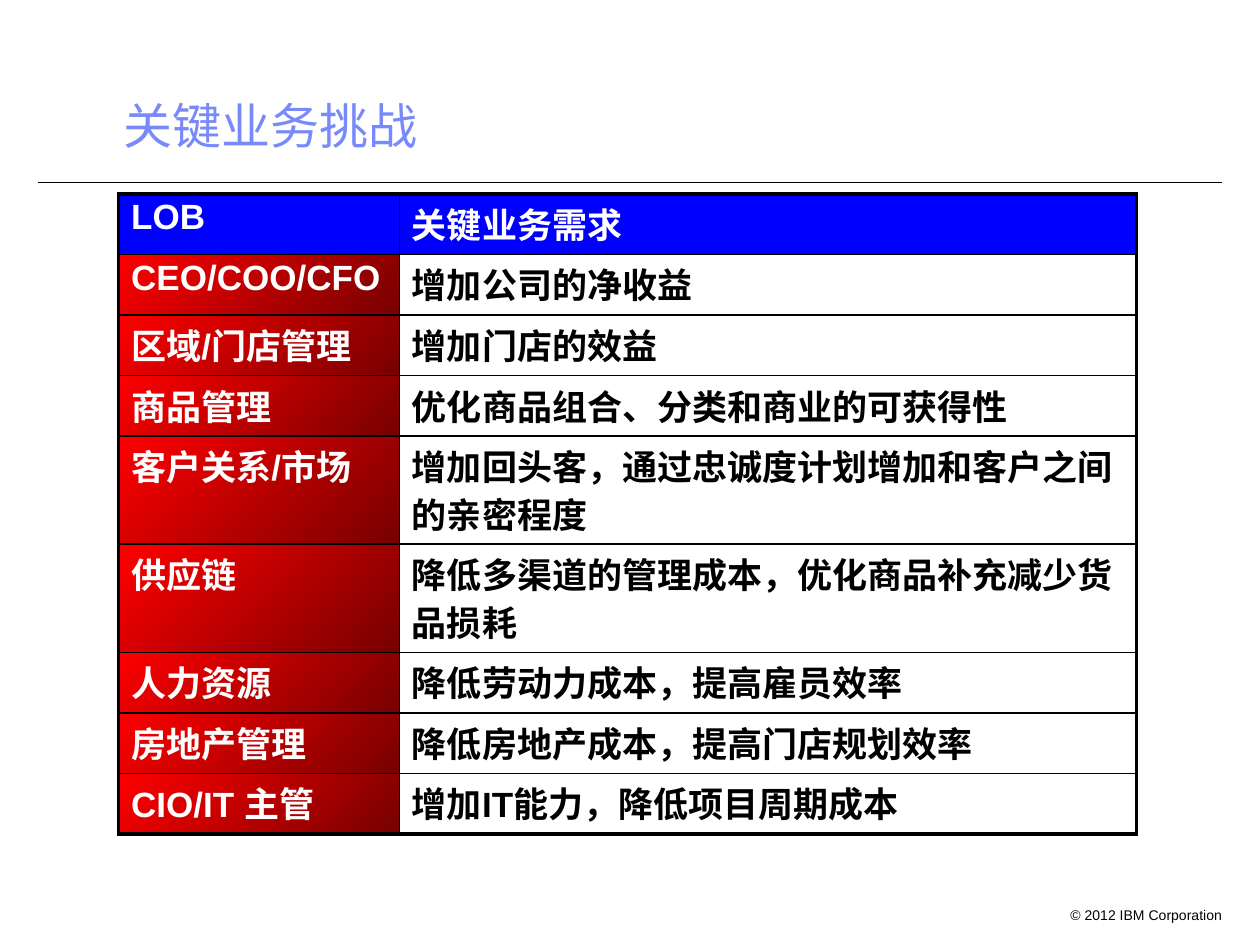
from lxml import etree
from pptx import Presentation
from pptx.dml.color import RGBColor
from pptx.enum.shapes import MSO_CONNECTOR as Connector
from pptx.enum.text import MSO_ANCHOR as Anchor, PP_ALIGN as Align
from pptx.oxml.ns import qn
from pptx.util import Cm, Pt

BLACK = RGBColor(0x00, 0x00, 0x00)
WHITE = RGBColor(0xFF, 0xFF, 0xFF)
BLUE = RGBColor(0x00, 0x00, 0xFF)
PERIWINKLE = RGBColor(0x78, 0x89, 0xFB)
RED = RGBColor(0xFF, 0x00, 0x00)
DARK_RED = RGBColor(0x76, 0x00, 0x00)

LATIN, CJK = "Arial", "Noto Sans CJK SC"
ROW, TALL_ROW = 1.22, 2.18
OUTER, INNER = 2.25, 1

NEEDS = [
    ("LOB", "关键业务需求", ROW),
    ("CEO/COO/CFO", "增加公司的净收益", ROW),
    ("区域/门店管理", "增加门店的效益", ROW),
    ("商品管理", "优化商品组合、分类和商业的可获得性", ROW),
    ("客户关系/市场", "增加回头客，通过忠诚度计划增加和客户之间的亲密程度", TALL_ROW),
    ("供应链", "降低多渠道的管理成本，优化商品补充减少货品损耗", TALL_ROW),
    ("人力资源", "降低劳动力成本，提高雇员效率", ROW),
    ("房地产管理", "降低房地产成本，提高门店规划效率", ROW),
    ("CIO/IT 主管", "增加IT能力，降低项目周期成本", ROW),
]


def write(tf, text, size, color=BLACK, font=LATIN, bold=False, align=Align.LEFT, spacing=1.0):
    p = tf.paragraphs[0]
    p.alignment, p.line_spacing = align, spacing
    r = p.add_run()
    r.text = text
    f = r.font
    f.name, f.size, f.bold = font, Pt(size), bold
    f.color.rgb = color
    etree.SubElement(r._r.get_or_add_rPr(), qn("a:ea"), typeface=CJK)


def set_borders(cell, **widths):
    """Draw black cell edges; the keys are L, R, T and B, the widths are points."""
    tcPr = cell._tc.get_or_add_tcPr()
    for side, width in widths.items():
        ln = etree.SubElement(tcPr, qn(f"a:ln{side}"), w=str(Pt(width)))
        fill = etree.SubElement(ln, qn("a:solidFill"))
        etree.SubElement(fill, qn("a:srgbClr"), val=str(BLACK))


def fill_cell(cell, is_header, is_label):
    fill = cell.fill
    if is_header:
        fill.solid()
        fill.fore_color.rgb = BLUE
    elif is_label:
        fill.gradient()
        fill.gradient_angle = 315
        for stop, color in zip(fill.gradient_stops, (RED, DARK_RED)):
            stop.color.rgb = color
    else:
        fill.background()


class Deck:
    def __init__(self, width, height):
        self.prs = Presentation()
        self.prs.slide_width, self.prs.slide_height = Cm(width), Cm(height)
        self.s = self.prs.slides.add_slide(self.prs.slide_layouts[6])

    def text(self, x, y, w, h, text, anchor=Anchor.TOP, **style):
        tf = self.s.shapes.add_textbox(Cm(x), Cm(y), Cm(w), Cm(h)).text_frame
        tf.word_wrap, tf.vertical_anchor = True, anchor
        write(tf, text, **style)

    def rule(self, x1, x2, y):
        line = self.s.shapes.add_connector(Connector.STRAIGHT, Cm(x1), Cm(y), Cm(x2), Cm(y))
        line.line.color.rgb, line.line.width = BLACK, Pt(0.75)
        etree.SubElement(line._element.spPr, qn("a:effectLst"))

    def table(self, x, y, widths, rows):
        height = sum(row[-1] for row in rows)
        table = self.s.shapes.add_table(
            len(rows), len(widths), Cm(x), Cm(y), Cm(sum(widths)), Cm(height)).table
        table.first_row = table.horz_banding = False
        for column, width in zip(table.columns, widths):
            column.width = Cm(width)
        last_row, last_col = len(rows) - 1, len(widths) - 1
        for i, (*texts, row_height) in enumerate(rows):
            table.rows[i].height = Cm(row_height)
            for j, text in enumerate(texts):
                cell = table.cell(i, j)
                set_borders(cell,
                            L=INNER if j else OUTER,
                            R=OUTER if j == last_col else INNER,
                            T=INNER if i else OUTER,
                            B=OUTER if i == last_row else INNER)
                is_header, is_label = i == 0, j == 0
                fill_cell(cell, is_header, is_label)
                write(cell.text_frame, text, size=20, bold=True, spacing=0.94,
                      color=WHITE if is_header or is_label else BLACK)


def main():
    deck = Deck(25.4, 19.05)
    deck.rule(0.76, 24.64, 3.68)
    deck.text(21.08, 18.16, 3.81, 0.51, "© 2012 IBM Corporation", size=8, align=Align.RIGHT)
    deck.text(2.24, 0.64, 21.06, 2.61, "关键业务挑战", anchor=Anchor.BOTTOM,
              size=28, color=PERIWINKLE, font=CJK, spacing=0.9)
    deck.table(2.39, 3.91, (5.66, 14.86), NEEDS)
    deck.prs.save("out.pptx")


if __name__ == "__main__":
    main()
